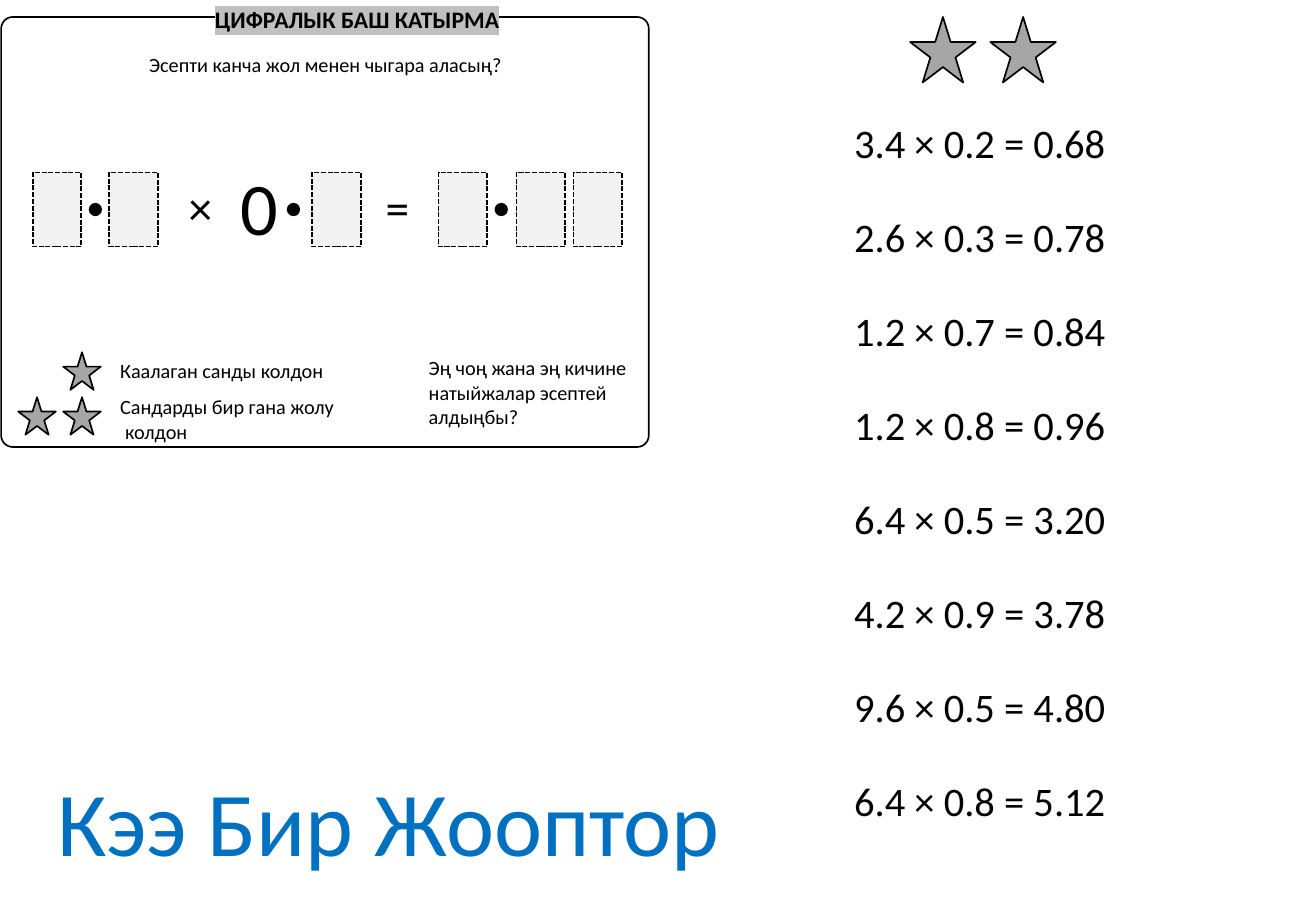
"""Build the decimal multiplication puzzle slide with some of its answers."""
from lxml import etree
from pptx import Presentation
from pptx.dml.color import RGBColor
from pptx.enum.dml import MSO_LINE
from pptx.enum.shapes import MSO_SHAPE
from pptx.enum.text import MSO_ANCHOR, MSO_AUTO_SIZE, PP_ALIGN
from pptx.oxml.ns import qn
from pptx.util import Inches, Pt

BLACK = RGBColor(0x00, 0x00, 0x00)
BLUE = RGBColor(0x00, 0x70, 0xC0)
STAR_GREY = RGBColor(0xA6, 0xA6, 0xA6)
BOX_GREY = RGBColor(0xF2, 0xF2, 0xF2)
HIGHLIGHT_GREY = RGBColor(0xC0, 0xC0, 0xC0)
LEFT, CENTER = PP_ALIGN.LEFT, PP_ALIGN.CENTER
TOP = MSO_ANCHOR.TOP
FIT_TEXT = MSO_AUTO_SIZE.SHAPE_TO_FIT_TEXT
DASH = MSO_LINE.SQUARE_DOT
STAR, OVAL = MSO_SHAPE.STAR_5_POINT, MSO_SHAPE.OVAL
RECTANGLE, ROUNDED = MSO_SHAPE.RECTANGLE, MSO_SHAPE.ROUNDED_RECTANGLE

prs = Presentation()
prs.slide_width, prs.slide_height = Inches(10.83), Inches(7.5)
slide = prs.slides.add_slide(prs.slide_layouts[5])


def write(text, left, top, width, height, size=12, color=BLACK, bold=False,
          align=LEFT, inset=0.05, holder=None):
    box = holder or slide.shapes.add_textbox(0, 0, 0, 0)
    box.left, box.top = Inches(left), Inches(top)
    box.width, box.height = Inches(width), Inches(height)
    frame = box.text_frame
    frame.text = text
    frame.word_wrap = False
    frame.auto_size = FIT_TEXT
    frame.vertical_anchor = TOP
    frame.margin_top = frame.margin_bottom = Inches(inset)
    for paragraph in frame.paragraphs:
        paragraph.alignment = align
        font = paragraph.runs[0].font
        font.name, font.size, font.bold = "Calibri", Pt(size), bold
        font.color.rgb = color
    return frame


def draw(kind, left, top, width, height, fill=None, outlined=True):
    shape = slide.shapes.add_shape(
        kind, Inches(left), Inches(top), Inches(width), Inches(height))
    shape.shadow.inherit = False
    if fill is None:
        shape.fill.background()
    else:
        shape.fill.solid()
        shape.fill.fore_color.rgb = fill
    if outlined:
        shape.line.color.rgb = BLACK
        shape.line.width = Pt(1)
    else:
        shape.line.fill.background()
    return shape


card = draw(ROUNDED, 0.01, 0.14, 5.33, 3.54)
card.adjustments[0] = 0.027

heading = write("ЦИФРАЛЫК БАШ КАТЫРМА", 1.67, 0.04, 2.56, 0.24,
                size=14, bold=True, inset=0)
heading_fill = heading.paragraphs[0].runs[0].font._element.find(qn("a:solidFill"))
highlight = etree.Element(qn("a:highlight"))
etree.SubElement(highlight, qn("a:srgbClr")).set("val", str(HIGHLIGHT_GREY))
heading_fill.addnext(highlight)

write("Эсепти канча жол менен чыгара аласың?", 1.11, 0.38, 3.14, 0.3, align=CENTER)

for digit_left in (0.27, 0.9, 2.57, 3.61, 4.25, 4.72):
    digit_box = draw(RECTANGLE, digit_left, 1.42, 0.4, 0.61, BOX_GREY)
    digit_box.line.dash_style = DASH
for point_left in (0.73, 2.36, 4.07):
    draw(OVAL, point_left, 1.67, 0.11, 0.11, BLACK, outlined=False)
for sign, sign_left in (("×", 1.45), ("=", 3.07)):
    write(sign, sign_left, 1.42, 0.4, 0.57, size=28, align=CENTER)
write("0", 1.88, 1.28, 0.51, 0.84, size=44)

for star_left, star_top, star_size in (
        (0.52, 2.9, 0.31), (0.52, 3.27, 0.31), (0.15, 3.27, 0.31),
        (7.49, 0.14, 0.54), (8.15, 0.14, 0.54)):
    draw(STAR, star_left, star_top, star_size, star_size, STAR_GREY)

write("Каалаган санды колдон", 0.89, 2.9, 1.89, 0.3)
single_use = write("Сандарды бир гана жолу\nколдон", 0.89, 3.2, 1.98, 0.5)
single_use.paragraphs[1]._p.get_or_add_pPr().set("marL", str(Inches(0.04)))
write("Эң чоң жана эң кичине\nнатыйжалар эсептей\nалдыңбы?", 3.43, 2.88, 1.89, 0.7)

answers = (
    "3.4 × 0.2 = 0.68", "2.6 × 0.3 = 0.78", "1.2 × 0.7 = 0.84",
    "1.2 × 0.8 = 0.96", "6.4 × 0.5 = 3.20", "4.2 × 0.9 = 3.78",
    "9.6 × 0.5 = 4.80", "6.4 × 0.8 = 5.12",
)
ANSWER_PITCH = 5.42 / (len(answers) - 1)
for row, answer in enumerate(answers):
    write(answer, 6.93, 0.92 + row * ANSWER_PITCH, 2.28, 0.5, size=24)

write("Кээ Бир Жооптор", 0.37, 6.25, 5.71, 1.01, size=54, color=BLUE,
      holder=slide.shapes.title)

prs.save("out.pptx")
